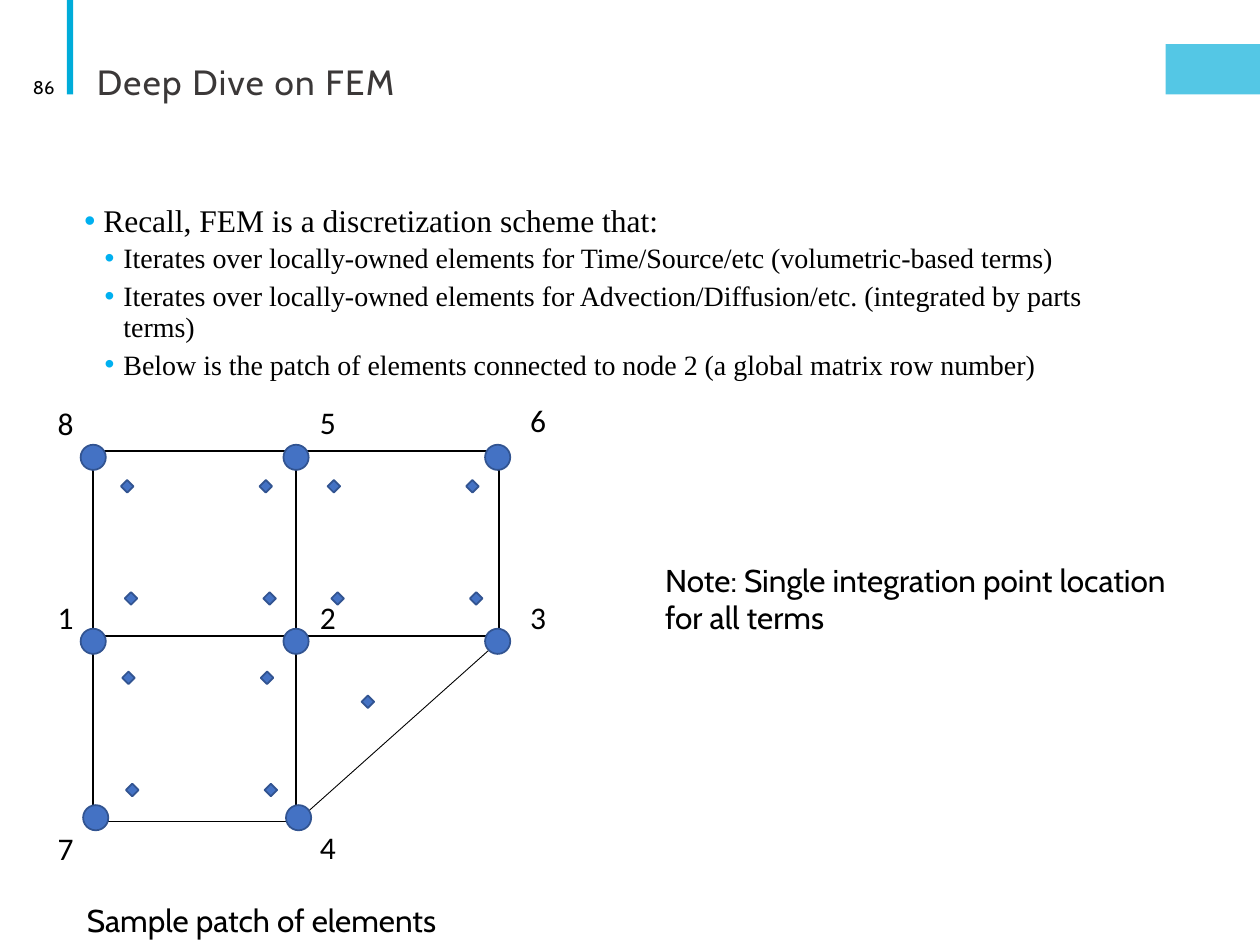
"""Build the FEM deep-dive slide with its sample patch of elements."""
from lxml import etree
from pptx import Presentation
from pptx.dml.color import RGBColor
from pptx.enum.shapes import MSO_CONNECTOR as Connector, MSO_SHAPE as Shape
from pptx.enum.text import MSO_ANCHOR as Anchor, MSO_AUTO_SIZE as Fit, PP_ALIGN as Align
from pptx.oxml.ns import qn
from pptx.util import Inches, Pt

COLORS = {"accent": "00ACD9", "bullet": "00B0F0", "title": "3B3838",
          "ink": "000000", "marker": "4472C4", "marker_edge": "325491"}

TITLE = "Deep Dive on FEM"
PAGE = "86"
CAPTION = "Sample patch of elements"
NOTE = "Note: Single integration point location for all terms"
BULLETS = [
    (0, "Recall, FEM is a discretization scheme that:"),
    (1, "Iterates over locally-owned elements for Time/Source/etc (volumetric-based terms)"),
    (1, "Iterates over locally-owned elements for Advection/Diffusion/etc. (integrated by parts terms)"),
    (1, "Below is the patch of elements connected to node 2 (a global matrix row number)"),
]
BULLET_LEVELS = [
    {"size": 18, "margin": 0.15, "before": 0, "after": 1.5},
    {"size": 16, "margin": 0.31, "before": 1.5, "after": 3},
]
HANGING = 0.15

NODES = [
    ("8", (0.64, 3.53), (0.36, 3.16)),
    ("5", (2.25, 3.53), (2.44, 3.15)),
    ("6", (3.85, 3.53), (4.11, 3.13)),
    ("1", (0.64, 4.99), (0.36, 4.7)),
    ("2", (2.25, 4.99), (2.44, 4.7)),
    ("3", (3.85, 4.99), (4.11, 4.7)),
    ("7", (0.66, 6.39), (0.36, 6.53)),
    ("4", (2.27, 6.39), (2.44, 6.52)),
]
CELL_WIDTH, CELL_HEIGHT = 1.61, 1.47
QUAD_CELLS = [((2.35, 3.58), (2.6, 3.81)),
              ((0.74, 3.58), (0.96, 3.81)),
              ((0.74, 5.05), (0.97, 5.33))]
POINT_OFFSETS = [(0, 0), (1.1, 0), (0.03, 0.89), (1.13, 0.89)]
TRIANGLE_POINT = (2.87, 5.52)
TRIANGLE_EDGE = (2.3, 6.57, 3.88, 5.16)


def color(name):
    return RGBColor.from_string(COLORS[name])


def add_run(paragraph, text, size, font, ink="ink"):
    run = paragraph.add_run()
    run.text = text
    run.font.size = Pt(size)
    run.font.name = font
    run.font.color.rgb = color(ink)
    return run


def add_frame(slide, left, top, width, height, wrap=True, anchor=Anchor.TOP):
    frame = slide.shapes.add_textbox(*map(Inches, (left, top, width, height))).text_frame
    frame.word_wrap = wrap
    frame.vertical_anchor = anchor
    return frame


def add_label(slide, text, area, font, wrap=False):
    frame = add_frame(slide, *area, wrap=wrap)
    frame.auto_size = Fit.SHAPE_TO_FIT_TEXT
    add_run(frame.paragraphs[0], text, 18, font)


def add_figure(slide, preset, area, fill=None, edge=None):
    figure = slide.shapes.add_shape(preset, *map(Inches, area))
    figure.shadow.inherit = False
    if fill:
        figure.fill.solid()
        figure.fill.fore_color.rgb = color(fill)
    else:
        figure.fill.background()
    if edge:
        figure.line.color.rgb = color(edge)
        figure.line.width = Pt(1)
    else:
        figure.line.fill.background()
    return figure


def add_marker(slide, preset, position, size):
    add_figure(slide, preset, (*position, size, size), "marker", "marker_edge")


def add_bullet_mark(paragraph, margin):
    properties = paragraph._p.get_or_add_pPr()
    properties.set("marL", str(Inches(margin)))
    properties.set("indent", str(-Inches(HANGING)))
    tint = etree.SubElement(properties, qn("a:buClr"))
    etree.SubElement(tint, qn("a:srgbClr")).set("val", COLORS["bullet"])
    etree.SubElement(properties, qn("a:buFont")).set("typeface", "Arial")
    etree.SubElement(properties, qn("a:buChar")).set("char", "•")


def add_header(slide):
    add_figure(slide, Shape.RECTANGLE, (0.53, 0, 0.05, 0.75), "accent")
    tab = add_figure(slide, Shape.RECTANGLE, (9.25, 0.35, 0.75, 0.4), "accent")
    tint = tab.fill._xPr.find(qn("a:solidFill"))[0]
    etree.SubElement(tint, qn("a:alpha")).set("val", "67000")

    heading = add_frame(slide, 0.67, 0.24, 8.25, 0.62, anchor=Anchor.BOTTOM).paragraphs[0]
    heading.line_spacing = 0.85
    run = add_run(heading, TITLE, 20, "Cabin", "title")
    run._r.get_or_add_rPr().set("spc", "80")

    number = add_frame(slide, 0.05, 0.49, 0.48, 0.4, anchor=Anchor.MIDDLE).paragraphs[0]
    number.alignment = Align.RIGHT
    add_run(number, PAGE, 10.5, "Cabin")


def add_bullets(slide):
    body = add_frame(slide, 0.67, 1.58, 8.25, 3.62)
    body.margin_left = body.margin_right = 0
    for index, (level, text) in enumerate(BULLETS):
        paragraph = body.add_paragraph() if index else body.paragraphs[0]
        style = BULLET_LEVELS[level]
        paragraph.level = level
        add_bullet_mark(paragraph, style["margin"])
        paragraph.line_spacing = 0.9
        paragraph.space_before = Pt(style["before"])
        paragraph.space_after = Pt(style["after"])
        add_run(paragraph, text, style["size"], "Times New Roman")


def add_patch(slide):
    edge = slide.shapes.add_connector(Connector.STRAIGHT, *map(Inches, TRIANGLE_EDGE))
    edge.line.color.rgb = color("ink")
    edge.line.width = Pt(0.5)
    etree.SubElement(edge._element.spPr, qn("a:effectLst"))

    for corner, _ in QUAD_CELLS:
        add_figure(slide, Shape.RECTANGLE, (*corner, CELL_WIDTH, CELL_HEIGHT), edge="ink")
    for number, position, label in NODES:
        add_marker(slide, Shape.OVAL, position, 0.2)
        add_label(slide, number, (*label, 0.33, 0.4), "Calibri")
    for _, (left, top) in QUAD_CELLS:
        for across, down in POINT_OFFSETS:
            add_marker(slide, Shape.DIAMOND, (left + across, top + down), 0.1)
    add_marker(slide, Shape.DIAMOND, TRIANGLE_POINT, 0.1)


def main():
    deck = Presentation()
    deck.slide_width, deck.slide_height = Inches(10), Inches(7.5)
    slide = deck.slides.add_slide(deck.slide_layouts[6])
    add_header(slide)
    add_bullets(slide)
    add_label(slide, CAPTION, (0.59, 7.1, 3.15, 0.4), "Cabin")
    add_label(slide, NOTE, (5.18, 4.4, 4.18, 0.71), "Cabin", wrap=True)
    add_patch(slide)
    deck.save("out.pptx")


if __name__ == "__main__":
    main()
